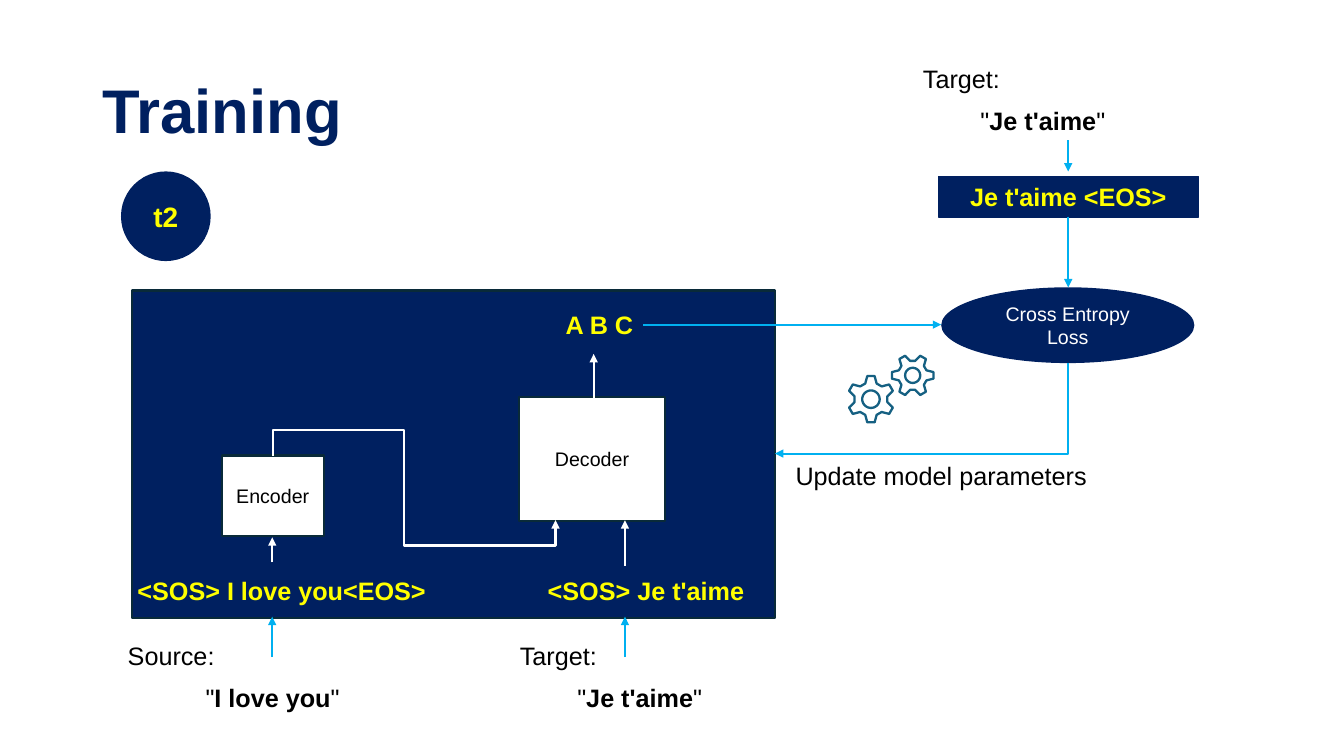
from math import cos, radians, sin

from lxml.etree import SubElement
from pptx import Presentation
from pptx.dml.color import RGBColor
from pptx.enum.shapes import MSO_CONNECTOR as LINK, MSO_SHAPE as SHAPE
from pptx.enum.text import MSO_ANCHOR as ANCHOR, PP_ALIGN as ALIGN
from pptx.oxml.ns import qn
from pptx.util import Cm, Pt

COLOURS = {
    "navy": "002060",
    "edge": "092A39",
    "sky": "00B0F0",
    "yellow": "FFFF00",
    "white": "FFFFFF",
    "black": "000000",
    "gear": "156082",
}


def colour(name):
    return RGBColor.from_string(COLOURS[name])


def style_paragraph(para, size, ink, bold, align):
    para.alignment = align
    para.font.name = "Arial"
    para.font.size = Pt(size)
    para.font.color.rgb = colour(ink)
    para.font.bold = bold


def set_outline(shape, name, width):
    if name is None:
        shape.line.fill.background()
    else:
        shape.line.color.rgb = colour(name)
        shape.line.width = Pt(width)


def add_block(page, kind, left, top, width, height, fill, edge=None, edge_width=1.5,
              text="", size=14, ink="black", bold=False):
    block = page.shapes.add_shape(kind, Cm(left), Cm(top), Cm(width), Cm(height))
    block.shadow.inherit = False
    block.fill.solid()
    block.fill.fore_color.rgb = colour(fill)
    set_outline(block, edge, edge_width)
    if text:
        frame = block.text_frame
        frame.word_wrap = True
        frame.vertical_anchor = ANCHOR.MIDDLE
        frame.text = text
        style_paragraph(frame.paragraphs[0], size, ink, bold, ALIGN.CENTER)


def add_text(page, text, left, top, width, height=1.02, size=18, ink="black",
             bold=None, align=ALIGN.LEFT, anchor=ANCHOR.TOP):
    box = page.shapes.add_textbox(Cm(left), Cm(top), Cm(width), Cm(height))
    frame = box.text_frame
    frame.word_wrap = True
    frame.vertical_anchor = anchor
    para = frame.paragraphs[0]
    para.text = text
    style_paragraph(para, size, ink, bold, align)
    return para


def add_tokens(page, text, left, top, width):
    add_text(page, text, left, top, width, ink="yellow", bold=True, align=ALIGN.CENTER)


def add_sentence(page, label, sentence, left, top, indent):
    """A label with its quoted sentence, indented, on the line below."""
    add_text(page, label, left, top, 3.9)
    para = add_text(page, "", left + indent, top + 1.06, 4.9)
    for text, bold in (('"', False), (sentence, True), ('"', False)):
        span = para.add_run()
        span.text = text
        span.font.bold = bold


def add_arrow(page, start, end, ink, kind=LINK.STRAIGHT):
    arrow = page.shapes.add_connector(kind, *(Cm(value) for value in (*start, *end)))
    arrow.line.color.rgb = colour(ink)
    arrow.line.width = Pt(1.5)
    line = arrow.line._get_or_add_ln()
    SubElement(line, qn("a:tailEnd"), type="triangle")
    SubElement(arrow._element.spPr, qn("a:effectLst"))
    return arrow


def add_bent_arrow(page, start, end, ink, preset, turn, flipped=False, bends=()):
    """An elbow that leaves vertically: its frame is laid out unturned, then rotated."""
    middle_x, middle_y = (start[0] + end[0]) / 2, (start[1] + end[1]) / 2
    half_width, half_height = abs(end[1] - start[1]) / 2, abs(end[0] - start[0]) / 2
    if flipped:
        half_width = -half_width
    arrow = add_arrow(page, (middle_x - half_width, middle_y - half_height),
                      (middle_x + half_width, middle_y + half_height), ink, LINK.ELBOW)
    properties = arrow._element.spPr
    properties.find(qn("a:xfrm")).set("rot", str(turn * 60000))
    geometry = properties.find(qn("a:prstGeom"))
    geometry.set("prst", preset)
    guides = geometry.find(qn("a:avLst"))
    for number, bend in enumerate(bends, 1):
        SubElement(guides, qn("a:gd"), name=f"adj{number}", fmla=f"val {bend}")


def add_gear(page, x, y, tip, root, hole, first_tooth):
    def polar(angle, radius):
        turn = radians(angle)
        return Cm(x + radius * cos(turn)), Cm(y + radius * sin(turn))

    profile = ((-20, root), (-9, tip), (9, tip), (20, root))
    rim = [polar(first_tooth + 60 * tooth + offset, radius)
           for tooth in range(6) for offset, radius in profile]
    hub = [polar(angle, hole) for angle in range(0, 360, 10)]
    builder = page.shapes.build_freeform(*rim[0], scale=1.0)
    builder.add_line_segments(rim[1:], close=True)
    builder.move_to(*hub[0])
    builder.add_line_segments(hub[1:], close=True)
    gear = builder.convert_to_shape()
    gear.shadow.inherit = False
    gear.fill.background()
    set_outline(gear, "gear", 1.63)
    SubElement(gear.line._get_or_add_ln(), qn("a:round"))


def add_model(page):
    add_block(page, SHAPE.RECTANGLE, 3.33, 7.32, 16.2, 8.25, "navy", "edge")
    add_block(page, SHAPE.RECTANGLE, 5.59, 11.48, 2.57, 2.03, "white", "edge", text="Encoder")
    add_block(page, SHAPE.RECTANGLE, 13.08, 10.01, 3.68, 3.12, "white", "edge", text="Decoder")
    add_tokens(page, "<SOS> I love you<EOS>", 3.05, 14.38, 8.1)
    add_tokens(page, "<SOS> Je t'aime", 12.75, 14.38, 7.06)
    add_tokens(page, "A B C", 14, 7.67, 2.21)
    for x, bottom, top in ((6.86, 14.17, 13.54), (15.75, 14.25, 13.11), (14.96, 10.06, 8.92)):
        add_arrow(page, (x, bottom), (x, top), "white")
    add_bent_arrow(page, (6.88, 11.48), (14, 13.11), "white", "bentConnector5", 270,
                   flipped=True, bends=(-39100, 46500, 139100))


def add_inputs(page):
    add_sentence(page, "Source:", "I love you", 2.97, 16, 1.96)
    add_sentence(page, "Target:", "Je t'aime", 12.85, 16, 1.45)
    for x in (6.86, 15.75):
        add_arrow(page, (x, 16.56), (x, 15.54), "sky")


def add_loss(page):
    add_sentence(page, "Target:", "Je t'aime", 23.01, 1.46, 1.45)
    add_block(page, SHAPE.RECTANGLE, 23.65, 4.45, 6.55, 1.02, "navy", "navy", 0.75,
              "Je t'aime <EOS>", 18, "yellow", True)
    add_block(page, SHAPE.OVAL, 23.72, 7.24, 6.38, 1.91, "navy",
              text="Cross Entropy Loss", ink="white")
    add_text(page, "Update model parameters", 18.97, 11.48, 9.5, align=ALIGN.CENTER)
    add_arrow(page, (26.92, 3.53), (26.92, 4.32), "sky")
    add_arrow(page, (26.92, 5.46), (26.92, 7.24), "sky")
    add_arrow(page, (16.21, 8.18), (23.72, 8.18), "sky")
    add_bent_arrow(page, (26.92, 9.14), (19.53, 11.43), "sky", "bentConnector2", 90)
    add_gear(page, 21.95, 10.06, 0.59, 0.42, 0.22, 90)
    add_gear(page, 23, 9.46, 0.53, 0.37, 0.19, 0)


def main():
    deck = Presentation()
    deck.slide_width, deck.slide_height = Cm(33.87), Cm(19.05)
    page = deck.slides.add_slide(deck.slide_layouts[6])
    add_block(page, SHAPE.OVAL, 3.05, 4.32, 2.26, 2.26, "navy",
              text="t2", size=20, ink="yellow", bold=True)
    title = add_text(page, "Training", 2.33, 1.02, 29.2, 3.68, 44, "navy", True,
                     anchor=ANCHOR.MIDDLE)
    title.line_spacing = 0.9
    add_model(page)
    add_inputs(page)
    add_loss(page)
    deck.save("out.pptx")


if __name__ == "__main__":
    main()
